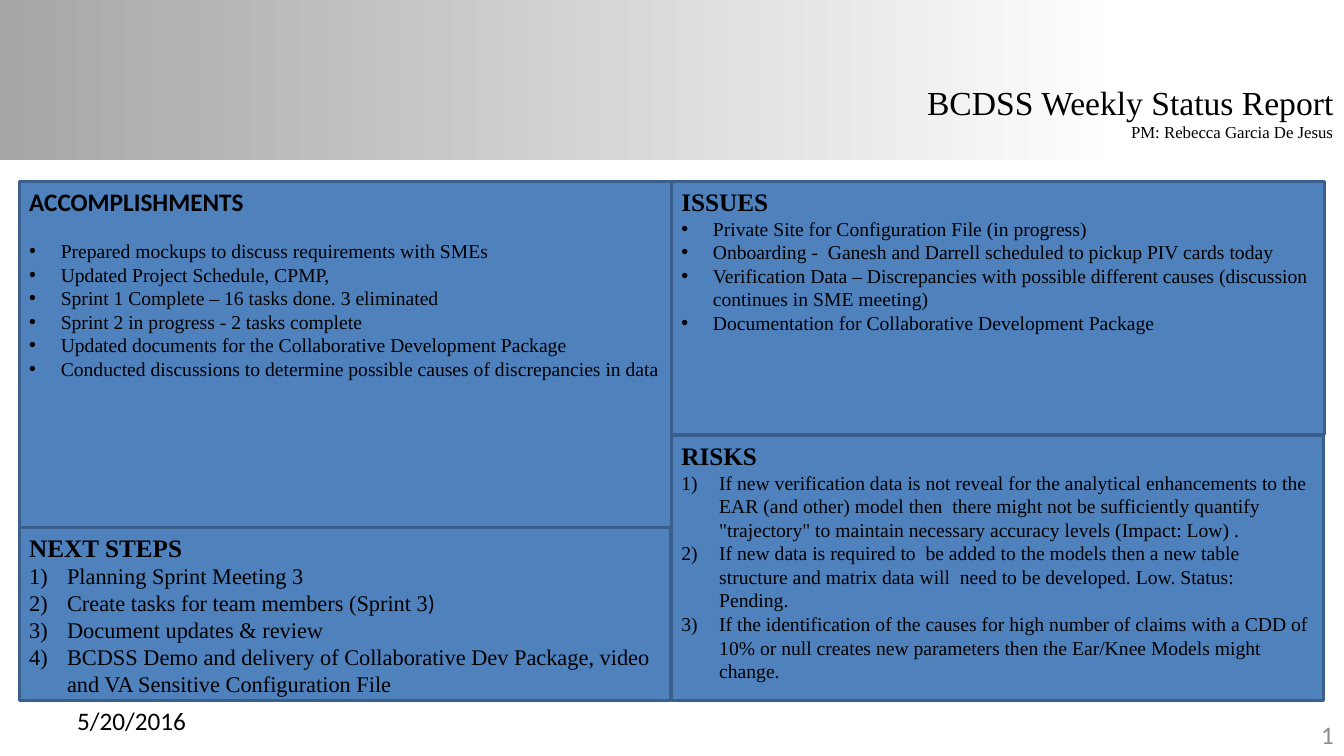
from dataclasses import dataclass

from lxml.etree import SubElement
from pptx import Presentation
from pptx.dml.color import RGBColor
from pptx.enum.shapes import MSO_SHAPE
from pptx.enum.text import MSO_ANCHOR as ANCHOR, MSO_AUTO_SIZE as AUTO, PP_ALIGN as ALIGN
from pptx.oxml.ns import qn
from pptx.util import Pt

SERIF, SANS = "Times New Roman", "Calibri"
BULLET_INDENT, NUMBER_INDENT = 22.5, 27


@dataclass(frozen=True)
class Item:
    text: str
    sans_tail: str = ""


@dataclass(frozen=True)
class Panel:
    idx: int
    box: tuple[float, float, float, float]
    heading: str
    items: tuple[Item, ...]
    size: float = 14
    numbered: bool = False
    heading_font: str = SERIF
    gap: float = 0


PANELS = (
    Panel(1, (13.7, 129.6, 465.8, 247), "ACCOMPLISHMENTS", (
        Item("Prepared mockups to discuss requirements with SMEs"),
        Item("Updated Project Schedule, CPMP,"),
        Item("Sprint 1 Complete – 16 tasks done. 3 eliminated"),
        Item("Sprint 2 in progress - 2 tasks complete"),
        Item("Updated documents for the Collaborative Development Package"),
        Item("Conducted discussions to determine possible causes of discrepancies in data"),
    ), heading_font=SANS, gap=16),
    Panel(2, (13.7, 376.6, 465.1, 123.8), "NEXT STEPS", (
        Item("Planning Sprint Meeting 3"),
        Item("Create tasks for team members (Sprint 3", ")"),
        Item("Document updates & review"),
        Item("BCDSS Demo and delivery of Collaborative Dev Package, video "
             "and VA Sensitive Configuration File"),
    ), size=16, numbered=True),
    Panel(3, (479.5, 129.6, 466.6, 180.7), "ISSUES", (
        Item("Private Site for Configuration File (in progress)"),
        Item("Onboarding -  Ganesh and Darrell scheduled to pickup PIV cards today"),
        Item("Verification Data – Discrepancies with possible different causes "
             "(discussion continues in SME meeting)"),
        Item("Documentation for Collaborative Development Package"),
    )),
    Panel(4, (479.5, 311, 465.8, 189.4), "RISKS", (
        Item("If new verification data is not reveal for the analytical enhancements "
             "to the EAR (and other) model then  there might not be sufficiently quantify "
             "\"trajectory\" to maintain necessary accuracy levels (Impact: Low) ."),
        Item("If new data is required to  be added to the models then a new table "
             "structure and matrix data will  need to be developed. Low. Status:  Pending."),
        Item("If the identification of the causes for high number of claims with a CDD "
             "of 10% or null creates new parameters then the Ear/Knee Models might change."),
    ), numbered=True),
)


def rgb(value: str) -> RGBColor:
    return RGBColor.from_string(value)


def add_text(p, text: str, *, size: float, font: str = SERIF,
             color: str = "000000", bold: bool = False) -> None:
    r = p.add_run()
    r.text = text
    r.font.size, r.font.name, r.font.bold = Pt(size), font, bold
    r.font.color.rgb = rgb(color)


def place(sp, box: tuple[float, float, float, float]) -> None:
    sp.left, sp.top, sp.width, sp.height = (Pt(v) for v in box)


def set_frame(tf, anchor, wrap: bool = True) -> None:
    tf.auto_size, tf.word_wrap, tf.vertical_anchor = AUTO.NONE, wrap, anchor


def set_list(p, indent: float, numbered: bool | None = None) -> None:
    pPr = p._p.get_or_add_pPr()
    pPr.set("marL", str(Pt(indent)))
    pPr.set("indent", str(-Pt(indent)))
    if numbered is None:
        SubElement(pPr, qn("a:buNone"))
        return
    SubElement(pPr, qn("a:buFont"), typeface=SERIF if numbered else "Arial")
    if numbered:
        SubElement(pPr, qn("a:buAutoNum"), type="arabicParenR")
    else:
        SubElement(pPr, qn("a:buChar"), char="•")


def draw_band(s) -> None:
    sp = s.shapes.add_shape(MSO_SHAPE.RECTANGLE, 0, 0, Pt(960), Pt(114))
    sp.shadow.inherit = False
    sp.line.fill.background()
    sp.fill.gradient()
    sp.fill.gradient_angle = 0
    stops = ((0, "A6A6A6"), (0.84, "FFFFFF"))
    for stop, (position, color) in zip(sp.fill.gradient_stops, stops):
        stop.position, stop.color.rgb = position, rgb(color)
    s.shapes._spTree.insert(2, sp._element)


def draw_title(s) -> None:
    sp = s.shapes.title
    place(sp, (652.3, 54.7, 307.4, 51.1))
    tf = sp.text_frame
    set_frame(tf, ANCHOR.TOP, wrap=False)
    add_text(tf.paragraphs[0], "BCDSS Weekly Status Report", size=24)
    add_text(tf.add_paragraph(), "PM: Rebecca Garcia De Jesus", size=12)
    for p in tf.paragraphs:
        p.alignment = ALIGN.RIGHT


def draw_panel(s, panel: Panel) -> None:
    sp = s.placeholders[panel.idx]
    place(sp, panel.box)
    sp.fill.solid()
    sp.fill.fore_color.rgb = rgb("4F81BD")
    sp.line.color.rgb = rgb("3A5F8C")
    sp.line.width = Pt(2)
    tf = sp.text_frame
    set_frame(tf, ANCHOR.TOP)
    p = tf.paragraphs[0]
    p.space_before = Pt(0)
    set_list(p, 0)
    add_text(p, panel.heading, size=18, font=panel.heading_font, bold=True)
    indent = NUMBER_INDENT if panel.numbered else BULLET_INDENT
    for i, item in enumerate(panel.items):
        p = tf.add_paragraph()
        p.space_before = Pt(0 if i else panel.gap)
        set_list(p, indent, panel.numbered)
        add_text(p, item.text, size=panel.size)
        if item.sans_tail:
            add_text(p, item.sans_tail, size=panel.size, font=SANS)


def draw_footer(s, text: str, left: float, top: float, color: str, align) -> None:
    sp = s.shapes.add_textbox(Pt(left), Pt(top), Pt(224), Pt(28.8))
    set_frame(sp.text_frame, ANCHOR.MIDDLE)
    p = sp.text_frame.paragraphs[0]
    p.alignment = align
    add_text(p, text, size=18, font=SANS, color=color)


def main() -> None:
    prs = Presentation()
    prs.slide_width, prs.slide_height = Pt(960), Pt(540)
    s = prs.slides.add_slide(prs.slide_layouts.get_by_name("Comparison"))
    draw_band(s)
    draw_title(s)
    for panel in PANELS:
        draw_panel(s, panel)
    draw_footer(s, "5/20/2016", 48, 500.4, "000000", ALIGN.LEFT)
    draw_footer(s, "1", 736, 510.5, "8C8C8C", ALIGN.RIGHT)
    prs.save("out.pptx")


if __name__ == "__main__":
    main()
